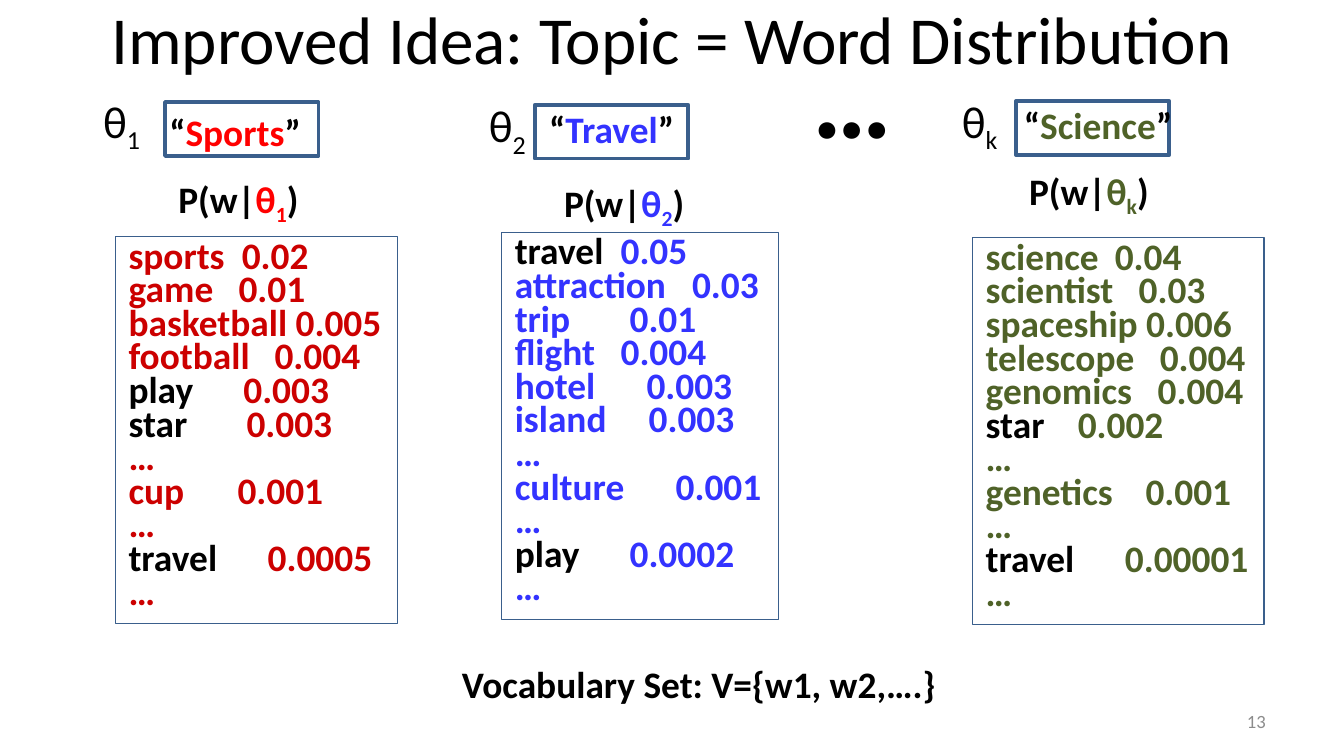
from lxml import etree
from pptx import Presentation, util as u
from pptx.dml.color import RGBColor
from pptx.enum import shapes, text
from pptx.oxml.ns import qn

Cm = u.Cm
BLACK = RGBColor(0x00, 0x00, 0x00)
WHITE = RGBColor(0xFF, 0xFF, 0xFF)
GREY = RGBColor(0x8C, 0x8C, 0x8C)
OUTLINE = RGBColor(0x3A, 0x5F, 0x8C)
RED = RGBColor(0xFF, 0x00, 0x00)
DARK_RED = RGBColor(0xCC, 0x00, 0x00)
BLUE = RGBColor(0x33, 0x33, 0xFF)
GREEN = RGBColor(0x4F, 0x62, 0x28)

# Word rows: word, probability, tab position in cm (None: one space), word is shared
MORE = ("…", "", None, False)
TOPICS = [
    dict(name="Sports", index="1", accent=RED, word_color=DARK_RED,
         badge_at=(3.12, 1.93), name_at=(2.95, 1.93, 3.02), theta_at=(1.7, 1.65),
         prob_at=(3.12, 3.2), list_at=(2.18, 4.47, 5.33),
         words=[("sports", "0.02", 2.14, False), ("game", "0.01", 2.08, False),
                ("basketball", "0.005", None, False), ("football", "0.004", 2.76, False),
                ("play", "0.003", 2.17, True), ("star", "0.003", 2.23, True), MORE,
                ("cup", "0.001", 2.06, False), MORE,
                ("travel", "0.0005", 2.63, True), MORE]),
    dict(name="Travel", index="2", accent=BLUE, word_color=BLUE,
         badge_at=(10.11, 1.98), name_at=(10.13, 1.88, 2.92), theta_at=(8.99, 1.73),
         prob_at=(10.41, 3.28), list_at=(9.48, 4.39, 5.23),
         words=[("travel", "0.05", 2.0, True), ("attraction", "0.03", 3.35, False),
                ("trip", "0.01", 2.17, False), ("flight", "0.004", 2.0, False),
                ("hotel", "0.003", 2.49, False), ("island", "0.003", 2.53, False), MORE,
                ("culture", "0.001", 3.04, False), MORE,
                ("play", "0.0002", 2.17, True), MORE]),
    dict(name="Science", index="k", accent=GREEN, word_color=GREEN,
         badge_at=(19.2, 1.91), name_at=(19.1, 1.8, 3.35), theta_at=(17.93, 1.65),
         prob_at=(19.2, 3.05), list_at=(18.38, 4.49, 5.51),
         words=[("science", "0.04", 2.44, False), ("scientist", "0.03", 2.89, False),
                ("spaceship", "0.006", None, False), ("telescope", "0.004", 3.29, False),
                ("genomics", "0.004", 3.25, False), ("star", "0.002", 1.74, True), MORE,
                ("genetics", "0.001", 3.02, False), MORE,
                ("travel", "0.00001", 2.63, True), MORE]),
]


def add_run(paragraph, words, size=20, bold=True, color=BLACK, subscript=False):
    run = paragraph.add_run()
    run.text = words
    font = run.font
    font.name, font.size, font.bold = "Calibri", u.Pt(size), bold
    font.color.rgb = color
    if subscript:
        run._r.get_or_add_rPr().set("baseline", "-25000")


def add_tab_stop(paragraph, position):
    tabs = etree.SubElement(paragraph._p.get_or_add_pPr(), qn("a:tabLst"))
    etree.SubElement(tabs, qn("a:tab"), pos=str(int(Cm(position))), algn="l")


class TopicSlide:
    def __init__(self, slide):
        self.slide = slide

    def rectangle(self, left, top, width, height, line_width, fill=None):
        box = self.slide.shapes.add_shape(
            shapes.MSO_SHAPE.RECTANGLE, Cm(left), Cm(top), Cm(width), Cm(height))
        box.shadow.inherit = False
        if fill is None:
            box.fill.background()
        else:
            box.fill.solid()
            box.fill.fore_color.rgb = fill
        box.line.color.rgb = OUTLINE
        box.line.width = u.Pt(line_width)
        return box

    def label(self, left, top, width, height, runs, align=text.PP_ALIGN.LEFT,
              anchor=text.MSO_ANCHOR.TOP, wrap=False):
        """Place one line of text; runs are (words, format) pairs."""
        box = self.slide.shapes.add_textbox(Cm(left), Cm(top), Cm(width), Cm(height))
        frame = box.text_frame
        frame.word_wrap, frame.vertical_anchor = wrap, anchor
        paragraph = frame.paragraphs[0]
        paragraph.alignment = align
        for words, style in runs:
            add_run(paragraph, words, **style)

    def word_list(self, left, top, width, rows, color):
        frame = self.rectangle(left, top, width, 7.32, 0.75).text_frame
        frame.word_wrap, frame.vertical_anchor = True, text.MSO_ANCHOR.TOP
        for i, (word, probability, tab, shared) in enumerate(rows):
            paragraph = frame.add_paragraph() if i else frame.paragraphs[0]
            paragraph.alignment = text.PP_ALIGN.LEFT
            paragraph.line_spacing = u.Pt(18)
            if tab:
                add_tab_stop(paragraph, tab)
            add_run(paragraph, word, color=BLACK if shared else color)
            if probability:
                add_run(paragraph, ("\t" if tab else " ") + probability, color=color)

    def topic(self, name, index, accent, word_color, badge_at, name_at, theta_at,
              prob_at, list_at, words):
        self.rectangle(*badge_at, 2.9, 1.02, 2, WHITE)
        self.label(*name_at, 1.12, [("“", {}), (name, dict(color=accent)), ("”", {})])
        plain = dict(size=24, bold=False)
        self.label(*theta_at, 1.24, 1.27,
                   [("θ", plain), (index, dict(plain, subscript=True))])
        self.label(*prob_at, 2.82, 1.12,
                   [("P(w|", {}), ("θ", dict(color=accent)),
                    (index, dict(color=accent, subscript=True)), (")", {})])
        self.word_list(*list_at, words, word_color)


def main():
    deck = Presentation()
    deck.slide_width, deck.slide_height = Cm(25.4), Cm(14.29)
    page = TopicSlide(deck.slides.add_slide(deck.slide_layouts[6]))

    # Title
    page.label(1.27, -0.48, 22.86, 2.39,
               [("Improved Idea: Topic = Word Distribution", dict(size=36, bold=False))],
               align=text.PP_ALIGN.CENTER, anchor=text.MSO_ANCHOR.MIDDLE, wrap=True)

    # Topics and the gap between the second and the last
    for topic in TOPICS:
        page.topic(**topic)
    page.label(15.11, 0.38, 2.03, 2.82, [("…", dict(size=60))])

    # Vocabulary and page number
    page.label(8.48, 12.37, 9.7, 1.12, [("Vocabulary Set: V={w1, w2,….}", {})])
    page.label(18.25, 13.25, 5.92, 0.76, [("13", dict(size=10, bold=False, color=GREY))],
               align=text.PP_ALIGN.RIGHT, anchor=text.MSO_ANCHOR.MIDDLE, wrap=True)

    deck.save("out.pptx")


if __name__ == "__main__":
    main()
